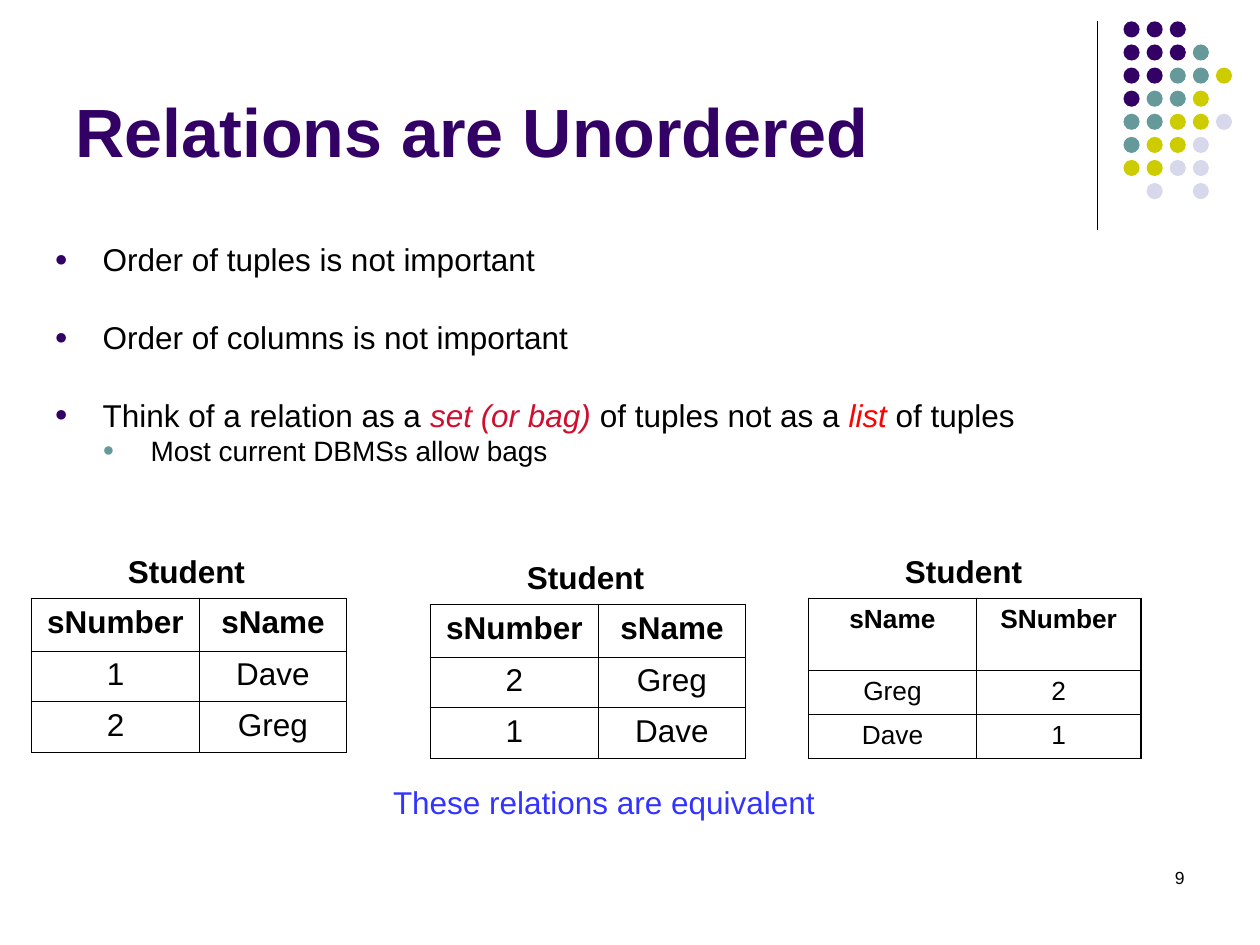
from pptx import Presentation
from pptx.dml.color import RGBColor
from pptx.enum.shapes import MSO_CONNECTOR, MSO_SHAPE
from pptx.enum.text import MSO_ANCHOR, MSO_AUTO_SIZE, PP_ALIGN
from pptx.oxml.ns import qn
from pptx.util import Pt
from lxml import etree

OVAL = MSO_SHAPE.OVAL
STRAIGHT = MSO_CONNECTOR.STRAIGHT
TOP, BOTTOM = MSO_ANCHOR.TOP, MSO_ANCHOR.BOTTOM
NO_AUTOFIT = MSO_AUTO_SIZE.NONE
LEFT, CENTER, RIGHT = PP_ALIGN.LEFT, PP_ALIGN.CENTER, PP_ALIGN.RIGHT

FONT = "Arial"
BLACK, PURPLE, TEAL, BLUE = "000000", "330066", "669999", "3333FF"
DOT_COLORS = {"P": PURPLE, "T": TEAL, "Y": "CCCC00", "L": "D8D8EC"}
DOT_ROWS = ["PPP", "PPPT", "PPTTY", "PTTY", "TTYYL", "TYYL", "YYLL", " L L"]

BULLETS = [
    (0, 0, [("Order of tuples is not important", None)]),
    (0, 27, [("Order of columns is not important", None)]),
    (0, 27, [("Think of a relation as a ", None), ("set (or bag) ", "CF0E30"),
             ("of tuples not as a ", None), ("list", "FF0000"),
             (" of tuples", None)]),
    (1, 4, [("Most current DBMSs allow bags", None)]),
]
STUDENT_TABLES = [
    ((18, 342), (96, 84), (30, 29, 29), 18,
     [("sNumber", "sName"), ("1", "Dave"), ("2", "Greg")]),
    ((246, 345.5), (96, 84), (30, 29, 29), 18,
     [("sNumber", "sName"), ("2", "Greg"), ("1", "Dave")]),
    ((462, 342), (96, 94), (41, 25, 25), 15,
     [("sName", "SNumber"), ("Greg", "2"), ("Dave", "1")]),
]


def color(value):
    return RGBColor.from_string(value)


def points(*values):
    return [Pt(value) for value in values]


def style(para, size, value=BLACK, bold=False, align=LEFT):
    para.alignment = align
    para.font.name = FONT
    para.font.size = Pt(size)
    para.font.bold = bold
    para.font.color.rgb = color(value)


def add_label(page, box, text, size, value=BLACK, bold=False, align=LEFT):
    frame = page.shapes.add_textbox(*points(*box)).text_frame
    frame.word_wrap = align == RIGHT
    para = frame.paragraphs[0]
    para.text = text
    style(para, size, value, bold, align)


def place(shape, box, anchor):
    shape.left, shape.top, shape.width, shape.height = points(*box)
    frame = shape.text_frame
    frame.auto_size = NO_AUTOFIT
    frame.vertical_anchor = anchor
    return frame


def add_title(page, box, text):
    para = place(page.shapes.title, box, BOTTOM).paragraphs[0]
    para.text = text
    style(para, 39, PURPLE, bold=True)


def add_bullet(para, value):
    props = para._p.get_or_add_pPr()
    props.set("marL", str(Pt(27.4 * (para.level + 1))))
    props.set("indent", str(Pt(-27.4)))
    bullet_color = etree.SubElement(props, qn("a:buClr"))
    etree.SubElement(bullet_color, qn("a:srgbClr"), val=value)
    etree.SubElement(props, qn("a:buSzPct"), val="70000")
    etree.SubElement(props, qn("a:buFont"), typeface=FONT)
    etree.SubElement(props, qn("a:buChar"), char="●")


def add_body(page, box):
    frame = place(page.placeholders[1], box, TOP)
    for index, (level, gap, spans) in enumerate(BULLETS):
        para = frame.add_paragraph() if index else frame.paragraphs[0]
        para.level = level
        add_bullet(para, (PURPLE, TEAL)[level])
        para.line_spacing = 0.8
        para.space_before = Pt(gap)
        style(para, (18, 16)[level])
        for text, accent in spans:
            span = para.add_run()
            span.text = text
            if accent:
                span.font.italic = True
                span.font.color.rgb = color(accent)


def set_borders(cell, outer_sides):
    props = cell._tc.get_or_add_tcPr()
    for index, side in enumerate("LRTB"):
        width = Pt(1.08 if side in outer_sides else 0.45)
        line = etree.Element(qn("a:ln" + side), w=str(width))
        fill = etree.SubElement(line, qn("a:solidFill"))
        etree.SubElement(fill, qn("a:srgbClr"), val=BLACK)
        props.insert(index, line)


def add_student_table(page, corner, widths, heights, size, rows):
    left, top = corner
    box = points(left, top, sum(widths), sum(heights))
    table = page.shapes.add_table(len(rows), len(widths), *box).table
    table.first_row = table.horz_banding = False
    for column, width in zip(table.columns, widths):
        column.width = Pt(width)
    for r, (height, texts) in enumerate(zip(heights, rows)):
        table.rows[r].height = Pt(height)
        for c, text in enumerate(texts):
            cell = table.cell(r, c)
            cell.fill.background()
            outer = "LR"[c] + {0: "T", len(rows) - 1: "B"}.get(r, "")
            set_borders(cell, outer)
            para = cell.text_frame.paragraphs[0]
            para.text = text
            style(para, size, bold=r == 0, align=CENTER)
    add_label(page, (left + 48, top - 30, 81.5, 29), "Student", 18, bold=True)


def add_corner_dots(page, box):
    left, top, height = box
    rule = page.shapes.add_connector(
        STRAIGHT, *points(left, top, left, top + height))
    rule.line.color.rgb = color(BLACK)
    rule.line.width = Pt(0.75)
    etree.SubElement(rule._element.spPr, qn("a:effectLst"))
    size, pitch = 9.2, 13.2
    for r, row in enumerate(DOT_ROWS):
        for c, key in enumerate(row):
            if key == " ":
                continue
            dot = page.shapes.add_shape(OVAL, *points(
                left + 15 + c * pitch, top + r * pitch, size, size))
            dot.shadow.inherit = False
            dot.fill.solid()
            dot.fill.fore_color.rgb = color(DOT_COLORS[key])
            dot.line.fill.background()


def main():
    deck = Presentation()
    deck.slide_width, deck.slide_height = points(720, 540)
    page = deck.slides.add_slide(deck.slide_layouts[1])
    add_corner_dots(page, (627, 12.2, 119.5))
    add_title(page, (36, 9.5, 594, 92), "Relations are Unordered")
    add_body(page, (24, 138, 582, 138))
    for student_table in STUDENT_TABLES:
        add_student_table(page, *student_table)
    add_label(page, (217.5, 444, 255.5, 29),
              "These relations are equivalent", 18, BLUE)
    add_label(page, (516, 492, 168, 36), "9", 10, align=RIGHT)
    deck.save("out.pptx")


if __name__ == "__main__":
    main()
